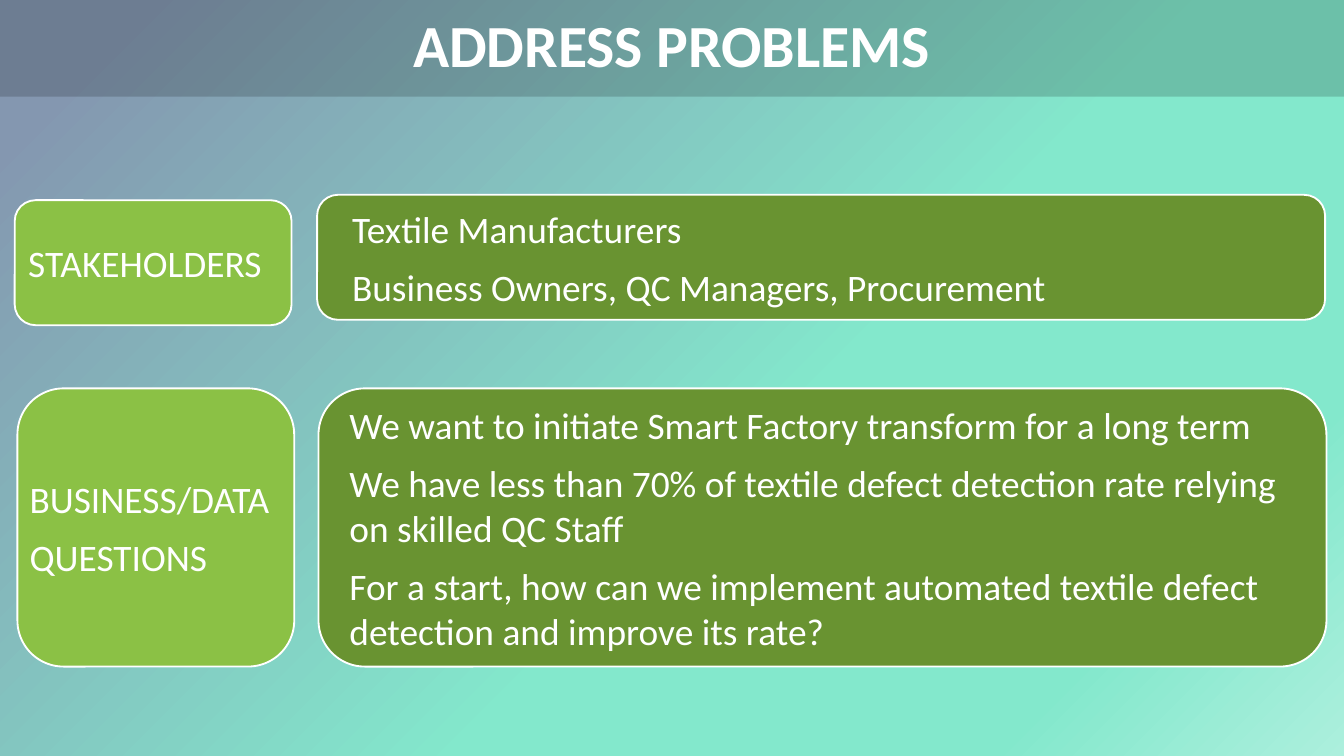
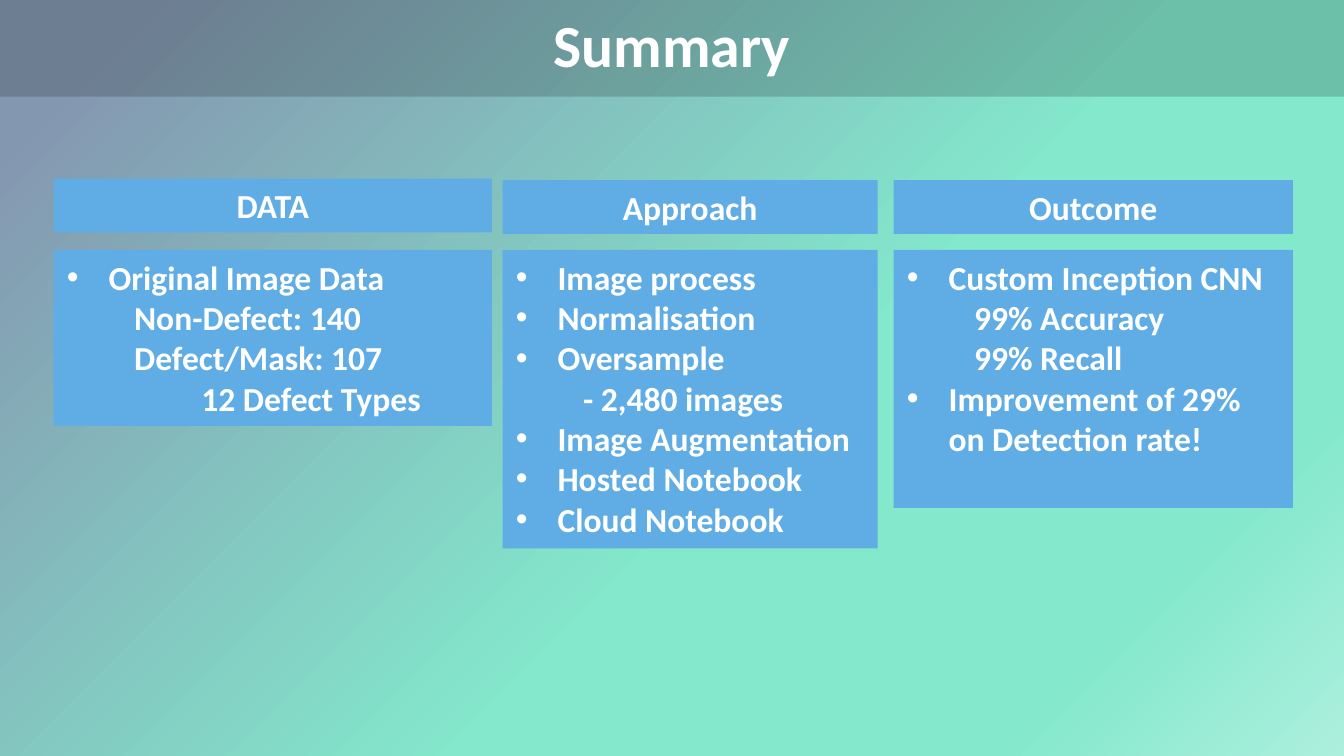
from lxml import etree
from pptx import Presentation
from pptx import util as u
from pptx.dml.color import RGBColor
from pptx.enum import shapes, text
from pptx.oxml.ns import qn

COLORS = {"white": "FFFFFF", "black": "000000", "label": "8BC145",
          "statement": "699331", "card": "5FADE4"}
BACKDROP = [(7, "8497B0"), (58, "83E8CC"), (83, "83E8CC"), (100, "ACEFDD")]
WIDTH = 10
HEIGHT = WIDTH * 9 / 16
BAND_HEIGHT = 0.72
TITLE = {"size": u.Pt(32), "bold": True}
PANEL = {"size": u.Pt(20), "bold": False}
CARD = {"size": u.Pt(18), "bold": True}
INSETS = ("margin_left", "margin_top", "margin_right", "margin_bottom")
# Left indent per outline level; level 0 hangs from a bullet
INDENTS = [0.31, 0.5, 1]


def add_box(slide, preset, place, fill=None, line=None):
    shape = slide.shapes.add_shape(preset, *[u.Inches(v) for v in place])
    shape.shadow.inherit = False
    for part, color in ((shape.fill, fill), (shape.line.fill, line)):
        if color:
            part.solid()
            part.fore_color.rgb = RGBColor.from_string(COLORS[color])
        else:
            part.background()
    if line:
        shape.line.width = u.Pt(1)
    return shape


def write(shape, lines, style, align=text.PP_ALIGN.LEFT, anchor=text.MSO_ANCHOR.MIDDLE,
          after=0, inset=None, outline=False):
    frame = shape.text_frame
    frame.word_wrap = True
    frame.auto_size = text.MSO_AUTO_SIZE.NONE
    frame.vertical_anchor = anchor
    if inset:
        for side in INSETS:
            setattr(frame, side, u.Inches(inset))
    for i, (level, words) in enumerate(lines):
        paragraph = frame.paragraphs[0] if i == 0 else frame.add_paragraph()
        paragraph.text = words
        paragraph.alignment = align
        paragraph.space_after = u.Pt(after)
        if outline:
            paragraph.level = level
            props = paragraph._p.get_or_add_pPr()
            props.set("marL", str(u.Inches(INDENTS[level])))
            props.set("indent", str(0 if level else -u.Inches(INDENTS[0])))
            if level == 0:
                etree.SubElement(props, qn("a:buFont")).set("typeface", "Arial")
                etree.SubElement(props, qn("a:buChar")).set("char", "•")
        for name, value in {"name": "Calibri", **style}.items():
            setattr(paragraph.font, name, value)
        paragraph.font.color.rgb = RGBColor.from_string(COLORS["white"])


deck = Presentation()
deck.slide_width, deck.slide_height = u.Inches(WIDTH), u.Inches(HEIGHT)

# Shared diagonal gradient on the master
master = deck.slide_master
backdrop = master.background.fill
backdrop.gradient()
backdrop.gradient_angle = 315
stops = master.element.find(".//" + qn("p:bg")).find(".//" + qn("a:gsLst"))
for stop in list(stops):
    stops.remove(stop)
for share, color in BACKDROP:
    stop = etree.SubElement(stops, qn("a:gs"), pos=str(share * 1000))
    etree.SubElement(stop, qn("a:srgbClr"), val=color)

# Slides with a translucent title band
slides = []
for heading in ("ADDRESS PROBLEMS", "Summary"):
    slide = deck.slides.add_slide(deck.slide_layouts[5])
    title = slide.shapes.title
    title.left, title.top = 0, 0
    title.width, title.height = u.Inches(WIDTH), u.Inches(BAND_HEIGHT)
    title.fill.solid()
    title.fill.fore_color.rgb = RGBColor.from_string(COLORS["black"])
    tint = title.element.spPr.find(".//" + qn("a:srgbClr"))
    etree.SubElement(tint, qn("a:alpha"), val="17000")
    write(title, [(0, heading)], TITLE, text.PP_ALIGN.CENTER)
    title.text_frame.paragraphs[0].line_spacing = 0.9
    slides.append(slide)
problems, summary = slides

# Problems: a label and its statements per row; each has panel left, words left, top
WIDTHS = {"label": (2.06, 2.04), "statement": (7.5, 7.2)}
rows = [
    (0.93, {"label": (0.11, 0.13, 1.49, ["STAKEHOLDERS"]),
            "statement": (2.36, 2.54, 1.45, [
                "Textile Manufacturers",
                "Business Owners, QC Managers, Procurement"])}),
    (2.07, {"label": (0.13, 0.14, 2.89, ["BUSINESS/DATA", "QUESTIONS"]),
            "statement": (2.37, 2.52, 2.89, [
                "We want to initiate Smart Factory transform for a long term",
                "We have less than 70% of textile defect detection rate relying on skilled QC Staff",
                "For a start, how can we implement automated textile defect detection and improve its rate?"])}),
]
for height, panels in rows:
    for role, (left, words_left, top, lines) in panels.items():
        panel_width, words_width = WIDTHS[role]
        add_box(problems, shapes.MSO_SHAPE.ROUNDED_RECTANGLE,
                (left, top, panel_width, height), role, "white")
        words = add_box(problems, shapes.MSO_SHAPE.RECTANGLE,
                        (words_left, top + 0.05 * height, words_width, 0.9 * height),
                        role if role == "statement" else None)
        write(words, [(0, line) for line in lines], PANEL, after=7, inset=0.08)

# Summary: three columns, each a header over a card
HEADER_HEIGHT, CARD_TOP = 0.4, 1.86
columns = [
    ("DATA", 0.4, 1.33, 3.26, 1.31,
     [(0, "Original Image Data"), (1, "Non-Defect: 140"),
      (1, "Defect/Mask: 107"), (2, "12 Defect Types")]),
    ("Approach", 3.74, 1.34, 2.79, 2.22,
     [(0, "Image process"), (0, "Normalisation"), (0, "Oversample"), (1, "- 2,480 images"),
      (0, "Image Augmentation"), (0, "Hosted Notebook"), (0, "Cloud Notebook")]),
    ("Outcome", 6.65, 1.34, 2.97, 1.92,
     [(0, "Custom Inception CNN"), (1, "99% Accuracy"), (1, "99% Recall"),
      (0, "Improvement of 29% on Detection rate!")]),
]
for heading, left, top, width, height, points in columns:
    card = add_box(summary, shapes.MSO_SHAPE.RECTANGLE, (left, CARD_TOP, width, height), "card")
    write(card, points, CARD, anchor=text.MSO_ANCHOR.TOP, outline=True)
for heading, left, top, width, height, points in columns:
    header = add_box(summary, shapes.MSO_SHAPE.RECTANGLE, (left, top, width, HEADER_HEIGHT), "card")
    write(header, [(0, heading)], CARD, text.PP_ALIGN.CENTER, text.MSO_ANCHOR.TOP)

deck.save("out.pptx")
